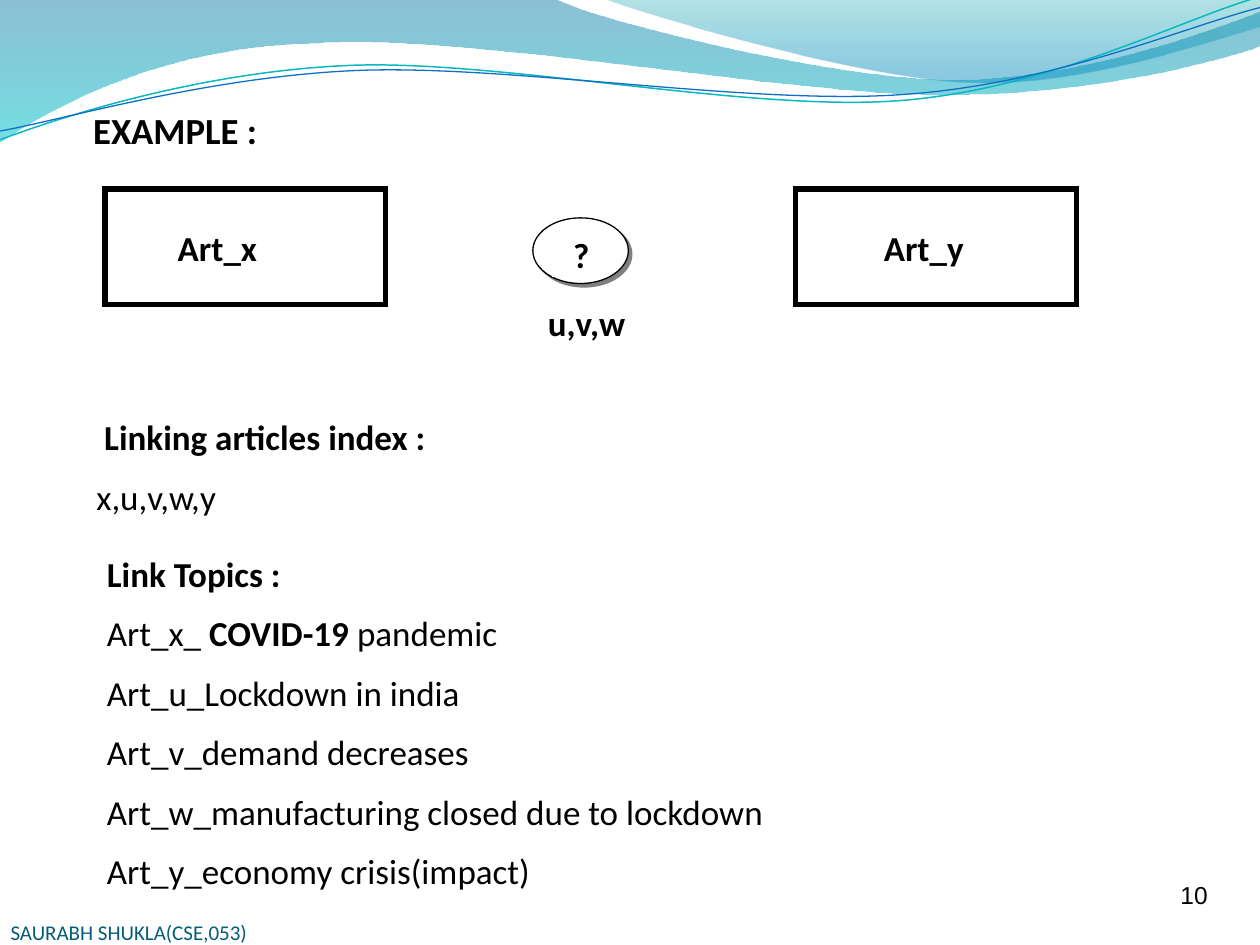
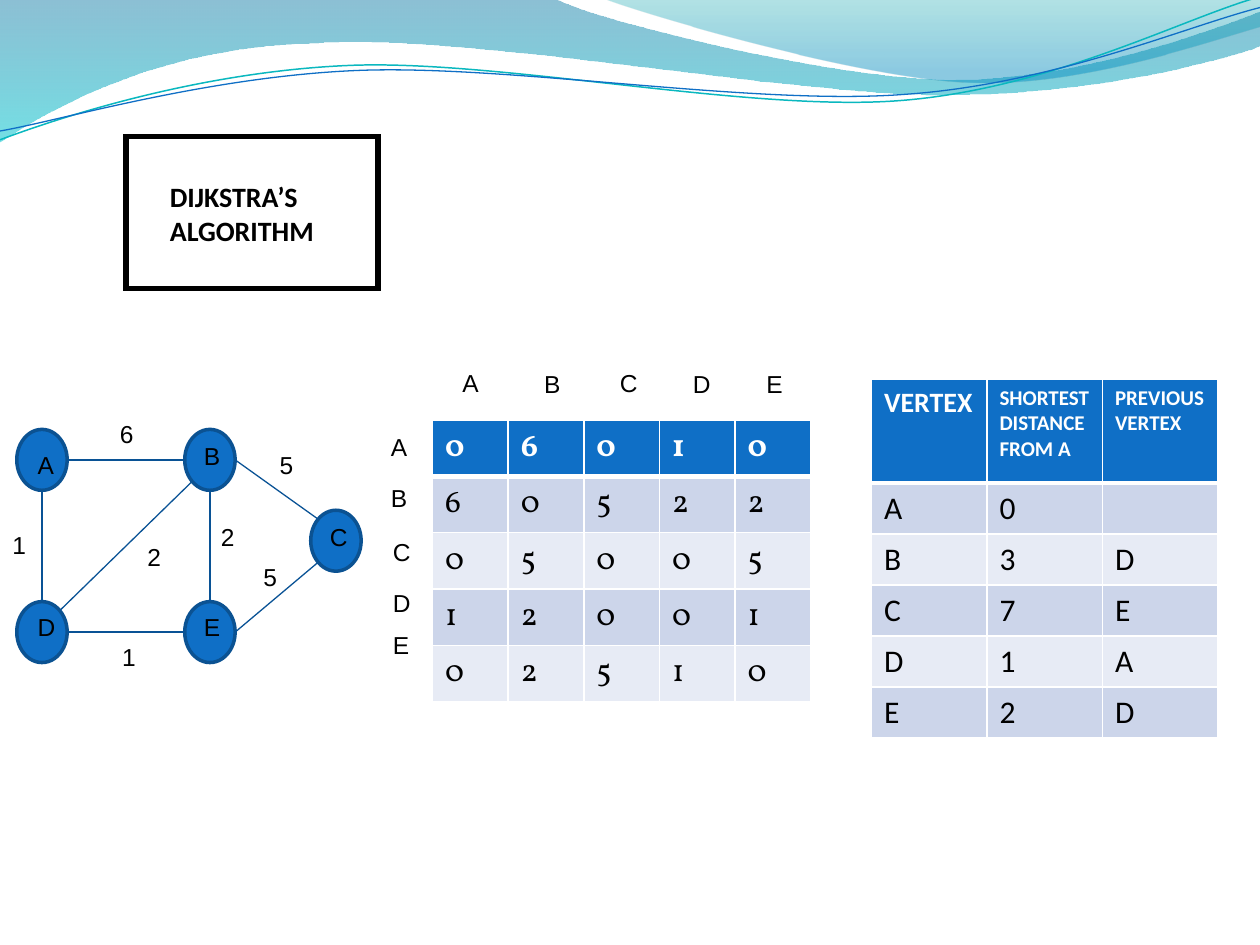
from dataclasses import dataclass
from math import cos, radians, sin

from lxml.etree import SubElement
from pptx import Presentation
from pptx.dml.color import RGBColor
from pptx.enum.shapes import MSO_CONNECTOR, MSO_SHAPE
from pptx.enum.text import MSO_ANCHOR, PP_ALIGN
from pptx.oxml import parse_xml
from pptx.oxml.ns import nsdecls, qn
from pptx.util import Inches, Pt


@dataclass(frozen=True)
class Theme:
    black: str = "000000"
    white: str = "FFFFFF"
    blue: str = "0F6FC6"
    node_edge: str = "0B5292"
    link: str = "095295"
    teal: str = "0AB8BF"
    footer: str = "045D75"
    shadow: str = "808080"
    stripes: tuple = ("E7EBF5", "CCD5EA")
    body_font: str = "Calibri"
    label_font: str = "Arial"
    digit_font: str = "Vollkorn"
    title: int = 21
    body: int = 20
    cell: int = 18
    heading: int = 16
    label: int = 14
    small: int = 12


T = Theme()
RECT, OVAL = MSO_SHAPE.RECTANGLE, MSO_SHAPE.OVAL
MIDDLE = MSO_ANCHOR.MIDDLE

prs = Presentation()
prs.slide_width, prs.slide_height = Inches(10), Inches(7.5)
U = prs.slide_width / 120  # one square of a grid of 120 columns and 90 rows


def draw(s, kind, x, y, w, h, fill=None, line=None, pt=0.75, inset=None, anchor=MSO_ANCHOR.TOP):
    """Place a shape, or a text box when kind is None, on the grid."""
    box = [round(v * U) for v in (x, y, w, h)]
    if kind is None:
        sp = s.shapes.add_textbox(*box)
    else:
        sp = s.shapes.add_shape(kind, *box)
        sp.shadow.inherit = False
        sp.fill.solid()
        sp.fill.fore_color.rgb = RGBColor.from_string(fill)
        sp.line.color.rgb = RGBColor.from_string(line)
        sp.line.width = Pt(pt)
        SubElement(sp.line._get_or_add_ln(), qn("a:miter"), lim="800000")
    tf = sp.text_frame
    tf.word_wrap = True
    tf.vertical_anchor = anchor
    if inset is not None:
        tf.margin_left = tf.margin_right = round(inset[0] * U)
        tf.margin_top = tf.margin_bottom = round(inset[1] * U)
    return sp


def write(holder, text, size=T.body, font=T.body_font, color=T.black, bold=False,
          after=0, align=PP_ALIGN.LEFT):
    """Write one paragraph per line; ** switches bold on and off."""
    tf = holder.text_frame
    for i, line in enumerate(text.split("\n")):
        p = tf.add_paragraph() if i else tf.paragraphs[0]
        p.alignment, p.space_after = align, Pt(after)
        for j, part in enumerate(line.split("**")):
            if part:
                r = p.add_run()
                r.text = part
                r.font.size, r.font.name = Pt(size), font
                r.font.bold = bold or j % 2 == 1
                r.font.color.rgb = RGBColor.from_string(color)


blank = prs.slide_layouts[6]
s1, s2 = (prs.slides.add_slide(blank) for _ in range(2))

# Waves shared by both slides, kept on the layout: segment kinds
# (L takes one point, C takes three), points in inches, paint
waves = [
    ("LCCLCCL",
     [(0, 0), (4.4, -0.01), (4.76, 0.17), (6.64, 0.63), (7.58, 0.63), (8.53, 0.63), (9.58, 0.26),
      (10, 0.09), (10.01, 0.36), (9.83, 0.44), (8.7, 0.76), (7.46, 0.75), (6.22, 0.75),
      (3.82, 0.28), (2.57, 0.34), (1.29, 0.36), (0.46, 0.83), (-0.01, 1.13), (0, 0)],
     [(0, "0074A1", 45), (1, "00C6CF", 55)]),
    ("CCLL",
     [(4.79, -0.01), (5.09, 0.11), (6.82, 0.62), (7.69, 0.65), (8.56, 0.69), (9.61, 0.32),
      (10, 0.21), (10, 0), (4.79, -0.01)],
     [(0, "00A1A9", 30), (0.8, "008BBF", 45)]),
    ("CCC",
     [(0, 1.11), (0.48, 0.93), (1.58, 0.57), (2.77, 0.52), (3.95, 0.47), (5.93, 0.89),
      (7.13, 0.8), (8.33, 0.71), (9.38, 0.15), (9.98, -0.02)], (T.teal, 0.85)),
    ("CCC",
     [(0, 1.04), (0.47, 0.96), (1.64, 0.61), (2.83, 0.56), (4.03, 0.51), (5.97, 0.84),
      (7.17, 0.75), (8.36, 0.67), (9.41, 0.21), (10, 0.06)], (T.blue, 0.75)),
]
waves[0] = ("LCCLCCCL", *waves[0][1:])
for kinds, points, paint in waves:
    filled = "L" in kinds
    points = [(Inches(x), Inches(y)) for x, y in points]
    fb = s1.shapes.build_freeform(*points[0])
    fb.add_line_segments(points[1:], close=filled)
    sp = fb.convert_to_shape()
    sp.shadow.inherit = False
    segments = iter(list(sp._element.iter(qn("a:lnTo"))))
    for kind in kinds:
        segment = next(segments)
        if kind == "C":
            segment.tag = qn("a:cubicBezTo")
            for _ in range(2):
                extra = next(segments)
                segment.append(extra[0])
                extra.getparent().remove(extra)
    if filled:
        sp.line.fill.background()
        sp.fill.gradient()
        sp.fill.gradient_angle = 270
        for stop, (position, color, _) in zip(sp.fill.gradient_stops, paint):
            stop.position = position
            stop.color.rgb = RGBColor.from_string(color)
        for clr, (_, _, opacity) in zip(sp._element.spPr.iter(qn("a:srgbClr")), paint):
            SubElement(clr, qn("a:alpha"), val=str(opacity * 1000))
    else:
        sp.fill.background()
        sp.line.color.rgb = RGBColor.from_string(paint[0])
        sp.line.width = Pt(paint[1])
    blank.shapes._spTree.append(sp._element)

# Slide 1: heading
sp = draw(s1, None, 8, 9.8, 17.6, 5.2, inset=(0.87, 0.48))
sp.text_frame.word_wrap = False
write(sp, "EXAMPLE :", T.title, bold=True)

# The two articles and the unknown link between them
for name, x, text_x in (("Art_x", 10, 15.75), ("Art_y", 75.75, 83)):
    draw(s1, RECT, x, 18, 26.75, 11, T.white, T.black, 3)
    write(draw(s1, RECT, text_x, 21, 18, 7.3, T.white, T.white), name, bold=True, after=10)
sp = draw(s1, OVAL, 50.75, 20.75, 9.1, 6.25, T.white, T.black)
effects = sp._element.spPr.find(qn("a:effectLst"))
shadow = SubElement(effects, qn("a:outerShdw"), blurRad="0", dist=str(Pt(2.8)), dir="2700000")
SubElement(shadow, qn("a:srgbClr"), val=T.shadow)
write(draw(s1, RECT, 52.65, 21.6, 4.9, 4.7, T.white, T.white), " ?", bold=True, after=10)
write(draw(s1, None, 51, 28.08, 11, 5.9), "u,v,w", bold=True, after=10)

# Index and topics
write(draw(s1, None, 8, 39, 61, 11), "** Linking articles index :**\nx,u,v,w,y", after=10)
topics = """**Link Topics :**
Art_x_** COVID-19** pandemic
Art_u_Lockdown in india
Art_v_demand decreases
Art_w_manufacturing closed due to lockdown
Art_y_economy crisis(impact)"""
write(draw(s1, None, 9, 52, 93, 35), topics, after=10, align=PP_ALIGN.JUSTIFY)

# Footer and page number
write(draw(s1, None, 1, 85.2, 44, 4.8, inset=(0, 0), anchor=MSO_ANCHOR.BOTTOM),
      "SAURABH SHUKLA(CSE,053)", T.small, color=T.footer)
write(draw(s1, None, 111.25, 81.75, 7.2, 6.85, inset=(1.2, 1.2), anchor=MIDDLE),
      "10", T.label, T.label_font)

# Slide 2: heading
draw(s2, RECT, 12, 13, 24, 14.5, T.white, T.black, 3)
write(draw(s2, None, 15, 16.55, 22, 13.4), "DIJKSTRA’S ALGORITHM", T.heading, bold=True)

# Graph: nodes by centre, edges by the angle at which they leave each node
RX, RY = 2.4, 2.9
nodes = {"A": (4, 43.8), "B": (20, 43.8), "C": (32, 51.5), "D": (4, 60.2), "E": (20, 60.2)}
edges = [("A", 0, "B", 180), ("D", 0, "E", 180), ("A", 90, "D", 270), ("B", 90, "E", 270),
         ("B", 0, "C", 225), ("E", 0, "C", 135), ("D", 315, "B", 135)]
for cx, cy in nodes.values():
    draw(s2, OVAL, cx - RX, cy - RY, 2 * RX, 2 * RY, T.blue, T.node_edge, 2)
for start, out_angle, end, in_angle in edges:
    ends = []
    for node, angle in ((start, out_angle), (end, in_angle)):
        cx, cy = nodes[node]
        ends += [round((cx + RX * cos(radians(angle))) * U),
                 round((cy + RY * sin(radians(angle))) * U)]
    link = s2.shapes.add_connector(MSO_CONNECTOR.STRAIGHT, *ends)
    link.line.color.rgb = RGBColor.from_string(T.link)
    link.line.width = Pt(0.75)
    SubElement(link._element.spPr, qn("a:effectLst"))

# Labels: edge weights and node names, then matrix columns and rows
graph_labels = [("1", 10.45, 59.25), ("1", 0, 48.6), ("6", 10.25, 38), ("5", 25.45, 41),
                ("5", 23.9, 51.6), ("2", 12.85, 49.7), ("2", 19.85, 47.8),
                ("A", 2.4, 41), ("B", 18.25, 40.1), ("C", 30.25, 47.8), ("D", 2.4, 56.4),
                ("E", 18.25, 56.35)]
matrix_labels = [
    *zip("ABCDE", (42.85, 50.65, 57.85, 64.8, 71.8), (33, 33.1, 33, 33.1, 33.1)),
    *zip("ABCDE", (36.05, 36.05, 36.25, 36.25, 36.25), (39.1, 44, 49.1, 54, 58)),
]
for group, w, h in ((graph_labels, 5.8, 6.6), (matrix_labels, 7.2, 6.85)):
    for name, x, y in group:
        write(draw(s2, None, x, y, w, h, inset=(1.2, 1.2), anchor=MIDDLE),
              name, T.label, T.label_font)

# Tables: shortest distances and adjacency matrix
distances = [["VERTEX", "SHORTEST DISTANCE FROM A", "PREVIOUS\nVERTEX"],
             ["A", "0", ""], ["B", "3", "D"], ["C", "7", "E"], ["D", "1", "A"], ["E", "2", "D"]]
matrix = ["06010", "60522", "05005", "12001", "02510"]
tables = [
    (distances, 83, 36.1, 11, [9.9] + [4.86] * 5, T.body_font,
     [T.heading, T.small, T.small]),
    (matrix, 41.2, 40, 7.2, [5.37] * 5, T.digit_font, [T.cell] * 5),
]
for rows, x, y, col, heights, font, head_sizes in tables:
    count = len(rows[0])
    box = [round(v * U) for v in (x, y, col * count, sum(heights))]
    table = s2.shapes.add_table(len(rows), count, *box).table
    for c in table.columns:
        c.width = round(col * U)
    for i, row in enumerate(rows):
        table.rows[i].height = round(heights[i] * U)
        for j, value in enumerate(row):
            cell = table.cell(i, j)
            head = i == 0
            write(cell, value, head_sizes[j] if head else T.cell, font,
                  T.white if head else T.black, head)
            borders = {"L": 1, "R": 1, "T": 3 if i == 1 else 1, "B": 3 if head else 1}
            tc_pr = cell._tc.get_or_add_tcPr()
            for side, pt in borders.items():
                tc_pr.append(parse_xml(
                    f'<a:ln{side} {nsdecls("a")} w="{Pt(pt)}"><a:solidFill>'
                    f'<a:srgbClr val="{T.white}"/></a:solidFill></a:ln{side}>'))
            cell.fill.solid()
            cell.fill.fore_color.rgb = RGBColor.from_string(T.blue if head else T.stripes[i % 2])

prs.save("out.pptx")
